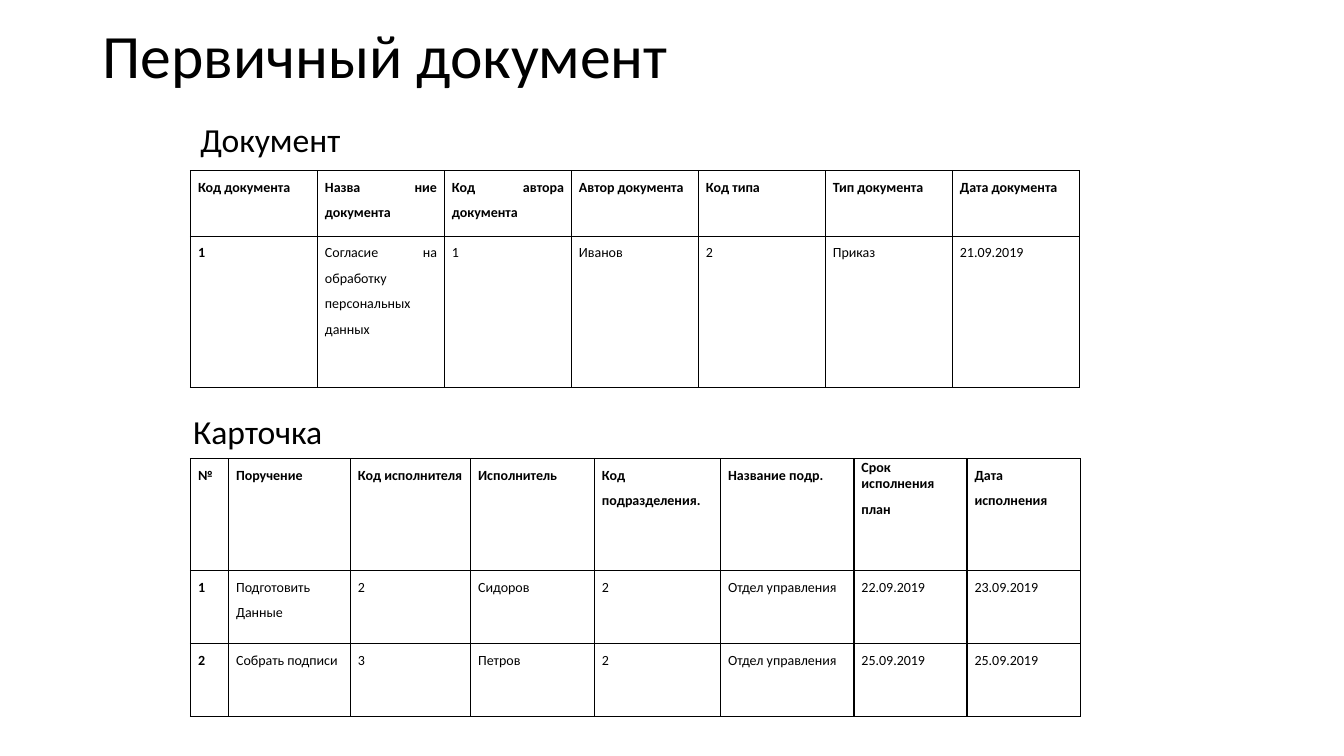
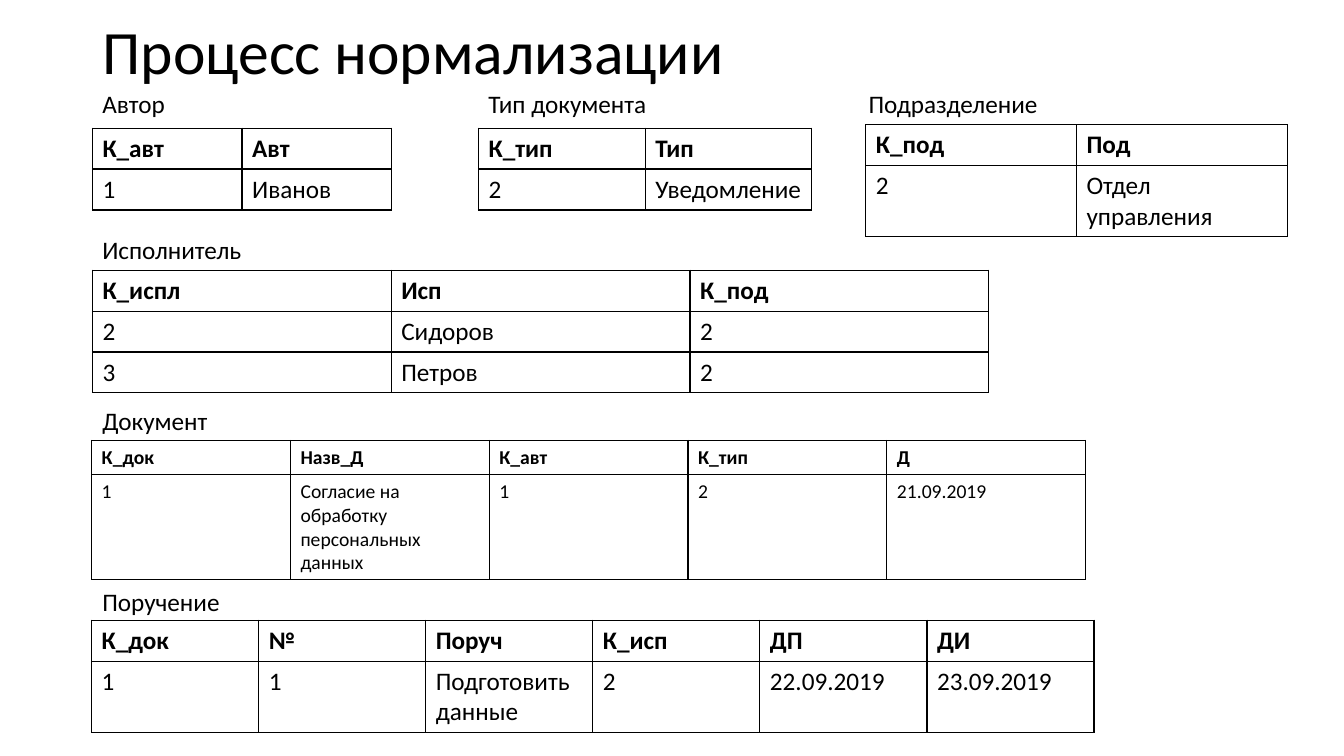
from lxml.etree import SubElement
from pptx import Presentation
from pptx.dml.color import RGBColor
from pptx.enum.text import MSO_ANCHOR as Anchor, PP_ALIGN as Align
from pptx.oxml.ns import qn
from pptx.util import Cm, Pt

COLORS = {"ink": "000000", "paper": "FFFFFF"}
FONT = "Calibri"


def style_text(frame, size, bold=False, align=Align.LEFT, spacing=1.0):
    for para in frame.paragraphs:
        para.alignment, para.line_spacing = align, spacing
        para.font.name, para.font.size, para.font.bold = FONT, Pt(size), bold
        para.font.color.rgb = RGBColor.from_string(COLORS["ink"])


def add_borders(cell):
    props = cell._tc.get_or_add_tcPr()
    for index, side in enumerate(("lnL", "lnR", "lnT", "lnB")):
        line = SubElement(props, qn(f"a:{side}"), w=str(Pt(1)))
        fill = SubElement(line, qn("a:solidFill"))
        SubElement(fill, qn("a:srgbClr"), val=COLORS["ink"])
        props.insert(index, line)  # borders come before the cell fill


# Each section: label, label left and top, table left and top,
# column widths, row heights, text size, rows (all lengths in cm)
primary = [
    ("Документ", 4.8, 2.84, 4.8, 4.3, [3.2] * 7, [1.65, 3.81], 10, [
        ["Код документа", "Назва ние документа", "Код автора документа",
         "Автор документа", "Код типа", "Тип документа", "Дата документа"],
        ["1", "Согласие на обработку персональных данных", "1", "Иванов",
         "2", "Приказ", "21.09.2019"]]),
    ("Карточка", 4.62, 10.21, 4.8, 11.56,
     [0.96, 3.07, 3.03, 3.12, 3.18, 3.36, 2.85, 2.85], [2.81, 1.84, 1.84], 10, [
        ["№", "Поручение", "Код исполнителя", "Исполнитель",
         "Код подразделения.", "Название подр.", "Срок исполнения\nплан",
         "Дата исполнения"],
        ["1", "Подготовить\nДанные", "2", "Сидоров", "2", "Отдел управления",
         "22.09.2019", "23.09.2019"],
        ["2", "Собрать подписи", "3", "Петров", "2", "Отдел управления",
         "25.09.2019", "25.09.2019"]]),
]
normalized = [
    ("Автор", 2.33, 2.1, 2.33, 3.23, [3.77] * 2, [1.03] * 2, 18,
     [["К_авт", "Авт"], ["1", "Иванов"]]),
    ("Тип документа", 12.06, 2.1, 12.06, 3.23, [4.2] * 2, [1.03] * 2, 18,
     [["К_тип", "Тип"], ["2", "Уведомление"]]),
    ("Подразделение", 21.64, 2.1, 21.82, 3.14, [5.31] * 2, [1.03, 1.79], 18,
     [["К_под", "Под"], ["2", "Отдел управления"]]),
    ("Исполнитель", 2.33, 5.78, 2.33, 6.81, [7.53] * 3, [1.03] * 3, 18,
     [["К_испл", "Исп", "К_под"], ["2", "Сидоров", "2"], ["3", "Петров", "2"]]),
    ("Документ", 2.33, 10.09, 2.31, 11.1, [5.01] * 5, [0.86, 2.64], 14,
     [["К_док", "Назв_Д", "К_авт", "К_тип", "Д"],
      ["1", "Согласие на обработку персональных данных", "1", "2",
       "21.09.2019"]]),
    ("Поручение", 2.33, 14.64, 2.31, 15.63, [4.21] * 6, [1.03, 1.79], 18,
     [["К_док", "№", "Поруч", "К_исп", "ДП", "ДИ"],
      ["1", "1", "Подготовить данные", "2", "22.09.2019", "23.09.2019"]]),
]
# Title, title top, sections, dense form, label size, label height
slides = [
    ("Первичный документ", -0.36, primary, True, 24, 1.45),
    ("Процесс нормализации", -0.46, normalized, False, 18, 1.02),
]

deck = Presentation()
deck.slide_width, deck.slide_height = Cm(33.87), Cm(19.05)

for title, title_top, sections, dense, label_size, label_height in slides:
    # Title
    page = deck.slides.add_slide(deck.slide_layouts[5])
    heading = page.shapes.title
    heading.left, heading.top = Cm(2.33), Cm(title_top)
    heading.width, heading.height = Cm(29.21), Cm(3.68)
    heading.text_frame.text = title
    heading.text_frame.vertical_anchor = Anchor.MIDDLE
    style_text(heading.text_frame, 44, spacing=0.9)

    for (label, label_left, label_top, left, top, widths, heights, size,
         rows) in sections:
        # Section label
        box = page.shapes.add_textbox(Cm(label_left), Cm(label_top),
                                      Cm(5.74), Cm(label_height))
        box.text_frame.word_wrap = True
        box.text_frame.text = label
        box.text_frame.vertical_anchor = Anchor.MIDDLE if dense else Anchor.TOP
        style_text(box.text_frame, label_size, spacing=0.9 if dense else 1.0)

        # Table
        table = page.shapes.add_table(
            len(rows), len(widths), Cm(left), Cm(top),
            Cm(sum(widths)), Cm(sum(heights))).table
        table.first_row = table.horz_banding = False
        for column, width in zip(table.columns, widths):
            column.width = Cm(width)
        for row_index, (height, texts) in enumerate(zip(heights, rows)):
            table.rows[row_index].height = Cm(height)
            for column_index, text in enumerate(texts):
                cell = table.cell(row_index, column_index)
                cell.text = text
                cell.fill.solid()
                cell.fill.fore_color.rgb = RGBColor.from_string(COLORS["paper"])
                add_borders(cell)
                bold = row_index == 0 or (dense and column_index == 0)
                if dense:
                    cell.margin_left = cell.margin_right = Cm(0.19)
                    cell.margin_top = cell.margin_bottom = 0
                    style_text(cell.text_frame, size, bold, Align.JUSTIFY, 1.5)
                else:
                    style_text(cell.text_frame, size, bold)
                if text.startswith("Срок"):
                    deadline = cell.text_frame.paragraphs[0]
                    deadline.alignment, deadline.line_spacing = Align.LEFT, 1.0

deck.save("out.pptx")
